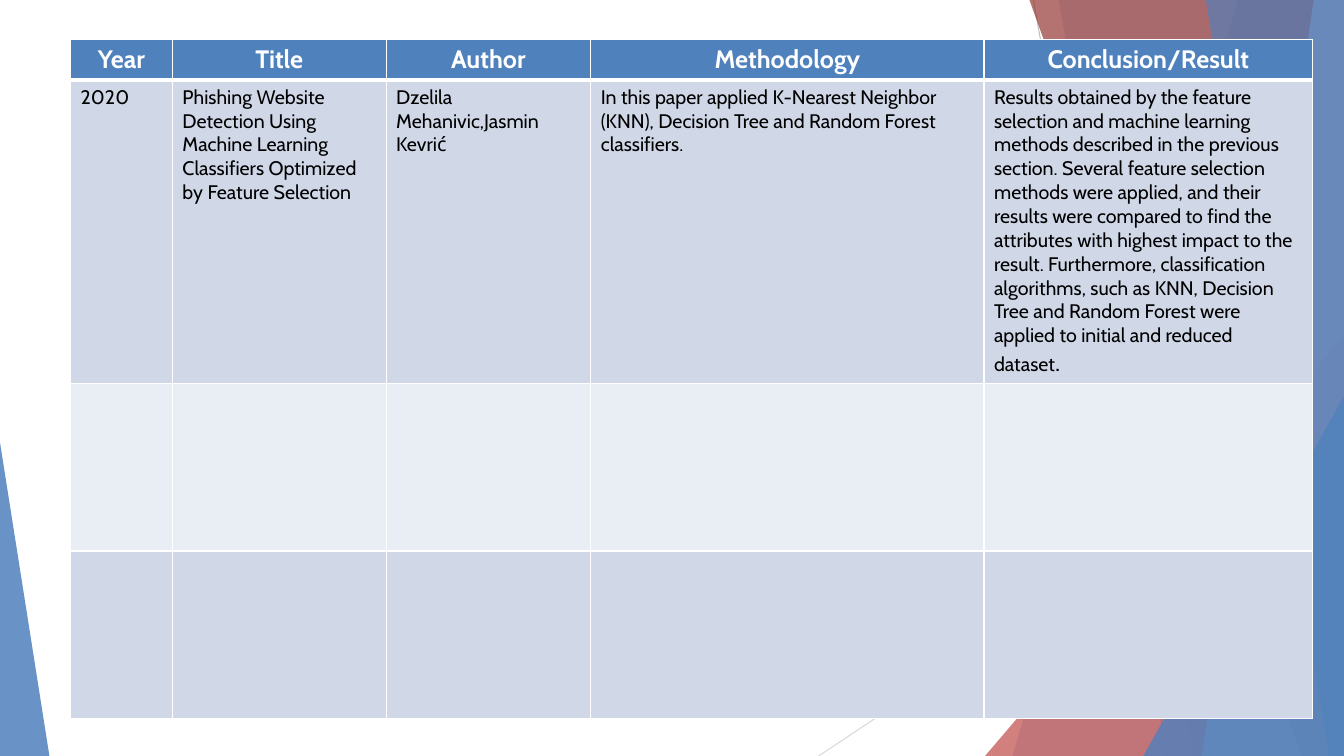
from lxml.etree import SubElement
from pptx import Presentation
from pptx.dml.color import RGBColor
from pptx.enum.shapes import MSO_CONNECTOR, MSO_SHAPE
from pptx.enum.text import PP_ALIGN
from pptx.oxml.ns import qn
from pptx.util import Inches, Pt

WIDTH, HEIGHT = 13.33, 7.5
FONT = "Cabin"
BLUE, WHITE = "4F81BD", "FFFFFF"
STRIPES = ("D0D8E8", "E9EDF4")

# Content
HEADINGS = ["Year", "Title", "Author", "Methodology", "Conclusion/Result"]
PAPERS = [
    [
        "2020",
        "Phishing Website Detection Using Machine Learning Classifiers "
        "Optimized by Feature Selection",
        "Dzelila Mehanivic,Jasmin Kevrić",
        "In this paper applied K-Nearest Neighbor (KNN), Decision Tree and "
        "Random Forest classifiers.",
        "Results obtained by the feature selection and machine learning "
        "methods described in the previous section. Several feature selection "
        "methods were applied, and their results were compared to find the "
        "attributes with highest impact to the result. Furthermore, "
        "classification algorithms, such as KNN, Decision Tree and Random "
        "Forest were applied to initial and reduced dataset",
    ],
    [""] * 5,
    [""] * 5,
]
FULL_STOP = "."  # larger closing mark of the conclusion

# Layout, in inches
TABLE_LEFT, TABLE_TOP = 0.7, 0.39
COLUMNS = [1.01, 2.12, 2.03, 3.9, 3.26]
ROWS = [0.4, 3.01, 1.66, 1.66]
RAYS = [  # start, end, colour
    ((10.25, 0), (11.58, HEIGHT), "BFBFBF"),
    ((WIDTH, 4.03), (8.12, HEIGHT), "D9D9D9"),
]
# Facets from back to front. A band runs from its left edge (top x, bottom x)
# to the right side; a wedge stands on the bottom (left, width, height, apex).
FACETS = [
    ("band", (12.28, 10.04), BLUE, 30),
    ("band", (10.5, 11.83), BLUE, 20),
    ("wedge", (9.77, 3.56, 4.17, 1), "C0504D", 72),
    ("band", (10.21, 12.91), "953735", 70),
    ("band", (13.03, 11.92), "95B3D7", 70),
    ("band", (11.96, 13.18), BLUE, 65),
    ("wedge", (11.34, 1.99, 3.57, 1), BLUE, 80),
    ("wedge", (0, 0.49, 3.11, 0), BLUE, 85),
]


def paint(fill, colour):
    fill.solid()
    fill.fore_color.rgb = RGBColor.from_string(colour)


def add_ray(slide, start, end, colour):
    ray = slide.shapes.add_connector(
        MSO_CONNECTOR.STRAIGHT, *(Inches(v) for v in start + end))
    paint(ray.line.fill, colour)
    ray.line.width = Pt(0.75)
    SubElement(ray.line._get_or_add_ln().getparent(), qn("a:effectLst"))


def add_facet(slide, kind, size, colour, opacity):
    if kind == "band":
        top_x, bottom_x = size
        corners = [(WIDTH, 0), (WIDTH, HEIGHT), (bottom_x, HEIGHT)]
        outline = slide.shapes.build_freeform(Inches(top_x), 0)
        outline.add_line_segments([(Inches(x), Inches(y)) for x, y in corners])
        facet = outline.convert_to_shape()
    else:
        left, width, height, apex = size
        facet = slide.shapes.add_shape(
            MSO_SHAPE.ISOSCELES_TRIANGLE, Inches(left),
            Inches(HEIGHT - height), Inches(width), Inches(height))
        facet.adjustments[0] = apex
    facet.shadow.inherit = False
    paint(facet.fill, colour)
    facet.line.fill.background()
    tint = facet.fill._xPr.find(qn("a:solidFill"))[0]
    SubElement(tint, qn("a:alpha"), val=str(opacity * 1000))


def set_borders(cell, top, bottom):
    properties = cell._tc.get_or_add_tcPr()
    sides = [("lnL", 1), ("lnR", 1), ("lnT", top), ("lnB", bottom)]
    for position, (side, points) in enumerate(sides):
        edge = SubElement(properties, qn("a:" + side), w=str(Pt(points)))
        SubElement(SubElement(edge, qn("a:solidFill")), qn("a:srgbClr"), val=WHITE)
        properties.insert(position, edge)


def add_review_table(slide):
    table = slide.shapes.add_table(
        len(ROWS), len(COLUMNS), Inches(TABLE_LEFT), Inches(TABLE_TOP),
        Inches(sum(COLUMNS)), Inches(sum(ROWS))).table
    for column, width in zip(table.columns, COLUMNS):
        column.width = Inches(width)
    for row, height in zip(table.rows, ROWS):
        row.height = Inches(height)

    for r, texts in enumerate([HEADINGS] + PAPERS):
        heading = r == 0
        for c, text in enumerate(texts):
            cell = table.cell(r, c)
            paint(cell.fill, BLUE if heading else STRIPES[(r - 1) % 2])
            set_borders(cell, 3 if r == 1 else 1, 3 if heading else 1)
            cell.text = text
            paragraph = cell.text_frame.paragraphs[0]
            paragraph.alignment = PP_ALIGN.CENTER if heading else PP_ALIGN.LEFT
            font = paragraph.font
            font.name, font.bold = FONT, heading
            font.size = Pt(18 if heading else 14)
            paint(font.fill, WHITE if heading else "000000")

    closing = table.cell(1, len(COLUMNS) - 1).text_frame.paragraphs[0].add_run()
    closing.text = FULL_STOP
    closing.font.size = Pt(18)


def main():
    deck = Presentation()
    deck.slide_width, deck.slide_height = Inches(WIDTH), Inches(HEIGHT)
    slide = deck.slides.add_slide(deck.slide_layouts[6])
    paint(slide.background.fill, WHITE)

    # Backdrop
    for ray in RAYS:
        add_ray(slide, *ray)
    for facet in FACETS:
        add_facet(slide, *facet)

    # Literature review
    add_review_table(slide)
    deck.save("out.pptx")


if __name__ == "__main__":
    main()
